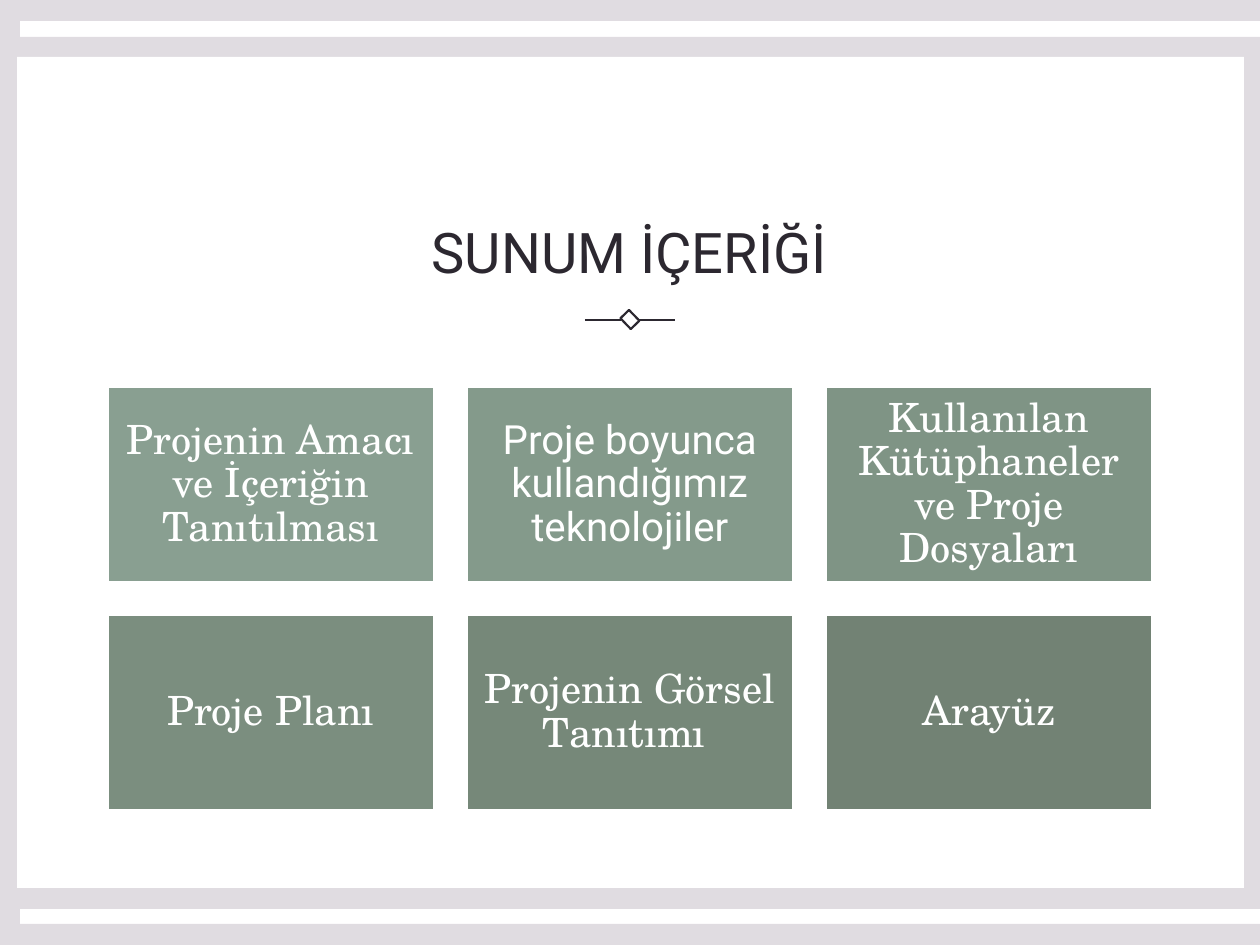
"""Build the presentation contents slide with its frame, title, ornament and six topic tiles."""
from dataclasses import dataclass

from lxml import etree
from pptx import Presentation
from pptx.dml.color import RGBColor
from pptx.enum.shapes import MSO_CONNECTOR, MSO_SHAPE
from pptx.enum.text import MSO_ANCHOR, MSO_AUTO_SIZE, PP_ALIGN
from pptx.oxml.ns import qn
from pptx.util import Emu, Pt

RECTANGLE = MSO_SHAPE.RECTANGLE
STRAIGHT = MSO_CONNECTOR.STRAIGHT
CENTER = PP_ALIGN.CENTER
MIDDLE, BOTTOM = MSO_ANCHOR.MIDDLE, MSO_ANCHOR.BOTTOM
NO_AUTOFIT = MSO_AUTO_SIZE.NONE

EMU_PER_PX = 914400 / 126
SANS, SERIF = "Roboto", "TeX Gyre Schola"
COLORS = {"frame": "E0DCE1", "white": "FFFFFF", "ink": "2C2830"}

COLUMNS = 3
TILE_LEFT, TILE_TOP = 108, 387
TILE_WIDTH, TILE_HEIGHT = 326, 195
COLUMN_STEP, ROW_STEP = 359, 228
ORNAMENT_Y = 320


@dataclass(frozen=True)
class Topic:
    label: str
    fill: str
    font: str = SERIF


@dataclass(frozen=True)
class Box:
    left: int
    top: int
    width: int
    height: int


TOPICS = [
    Topic("Projenin Amacı ve İçeriğin Tanıtılması", "899F91"),
    Topic("Proje boyunca kullandığımız teknolojiler", "849A8B", SANS),
    Topic("Kullanılan Kütüphaneler ve Proje Dosyaları", "7F9485"),
    Topic("Proje Planı", "7B8E7F"),
    Topic("Projenin Görsel Tanıtımı ", "768879"),
    Topic("Arayüz", "728274"),
]


def px(length: int) -> Emu:
    return Emu(round(length * EMU_PER_PX))


def rgb(color: str) -> RGBColor:
    return RGBColor.from_string(color)


def paint(shape, fill: str | None, line: str | None = None, line_width: float = 1) -> None:
    shape.shadow.inherit = False
    if fill:
        shape.fill.solid()
        shape.fill.fore_color.rgb = rgb(fill)
    else:
        shape.fill.background()
    if line:
        shape.line.color.rgb = rgb(line)
        shape.line.width = Pt(line_width)
    else:
        shape.line.fill.background()


def add_rectangle(slide, box: Box, fill: str | None, line: str | None = None,
                  line_width: float = 1):
    rectangle = slide.shapes.add_shape(
        RECTANGLE, px(box.left), px(box.top), px(box.width), px(box.height))
    paint(rectangle, fill, line, line_width)
    return rectangle


def write(shape, text: str, *, font: str, size: float, color: str, anchor: MSO_ANCHOR,
          spacing: float, inset_x: int = 13, inset_y: int = 13) -> None:
    frame = shape.text_frame
    frame.word_wrap = True
    frame.auto_size = NO_AUTOFIT
    frame.vertical_anchor = anchor
    frame.margin_left = frame.margin_right = px(inset_x)
    frame.margin_top = frame.margin_bottom = px(inset_y)
    paragraph = frame.paragraphs[0]
    paragraph.alignment = CENTER
    paragraph.line_spacing = spacing
    run = paragraph.add_run()
    run.text = text
    run.font.name = font
    run.font.size = Pt(size)
    run.font.color.rgb = rgb(color)


def add_frame(slide) -> None:
    corners = [(0, 0), (1260, 0), (1260, 21), (20, 21),
               (20, 924), (1260, 924), (1260, 945), (0, 945)]
    points = [(px(x), px(y)) for x, y in corners]
    builder = slide.shapes.build_freeform(*points[0])
    builder.add_line_segments(points[1:], close=True)
    paint(builder.convert_to_shape(), COLORS["frame"])
    add_rectangle(slide, Box(0, 37, 1260, 872), COLORS["frame"])
    add_rectangle(slide, Box(17, 57, 1227, 831), COLORS["white"])


def add_title(slide) -> None:
    title = slide.shapes.title
    title.left, title.top = px(106), px(159)
    title.width, title.height = px(1047), px(132)
    write(title, "SUNUM İÇERİĞİ", font=SANS, size=32, color=COLORS["ink"],
          anchor=BOTTOM, spacing=1.1, inset_y=6)
    slide.shapes._spTree.append(title._element)


def add_ornament(slide) -> None:
    diamond = add_rectangle(slide, Box(624, 312, 12, 15), None, COLORS["ink"], 1.25)
    diamond.rotation = 316
    for start, end in ((639, 675), (585, 621)):
        rule = slide.shapes.add_connector(
            STRAIGHT, px(start), px(ORNAMENT_Y), px(end), px(ORNAMENT_Y))
        rule.line.color.rgb = rgb(COLORS["ink"])
        rule.line.width = Pt(1.25)
        etree.SubElement(rule._element.spPr, qn("a:effectLst"))


def add_tile(slide, topic: Topic, row: int, column: int) -> None:
    box = Box(TILE_LEFT + column * COLUMN_STEP, TILE_TOP + row * ROW_STEP,
              TILE_WIDTH, TILE_HEIGHT)
    tile = add_rectangle(slide, box, topic.fill, COLORS["white"])
    write(tile, topic.label, font=topic.font, size=23, color=COLORS["white"],
          anchor=MIDDLE, spacing=0.9)


def main() -> None:
    presentation = Presentation()
    presentation.slide_width, presentation.slide_height = px(1260), px(945)
    slide = presentation.slides.add_slide(presentation.slide_layouts[5])
    add_frame(slide)
    add_title(slide)
    add_ornament(slide)
    for index, topic in enumerate(TOPICS):
        add_tile(slide, topic, *divmod(index, COLUMNS))
    presentation.save("out.pptx")


if __name__ == "__main__":
    main()
